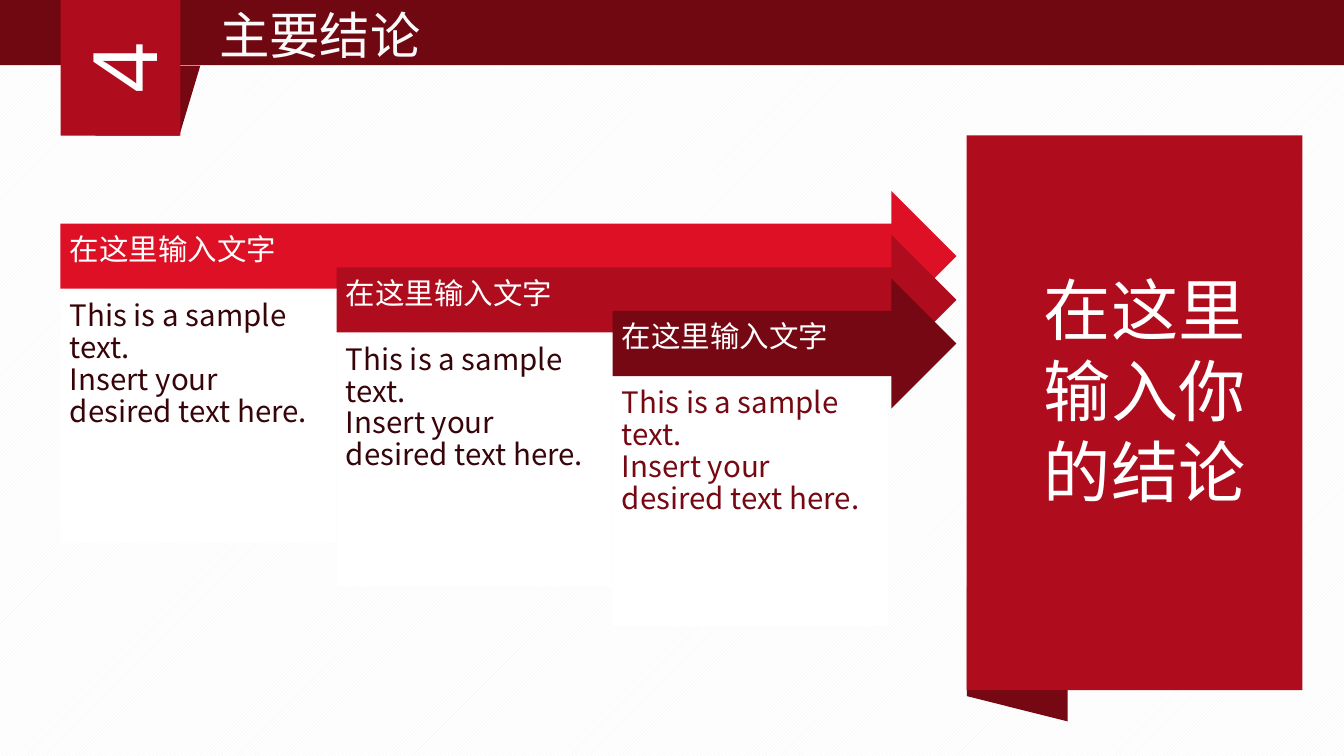
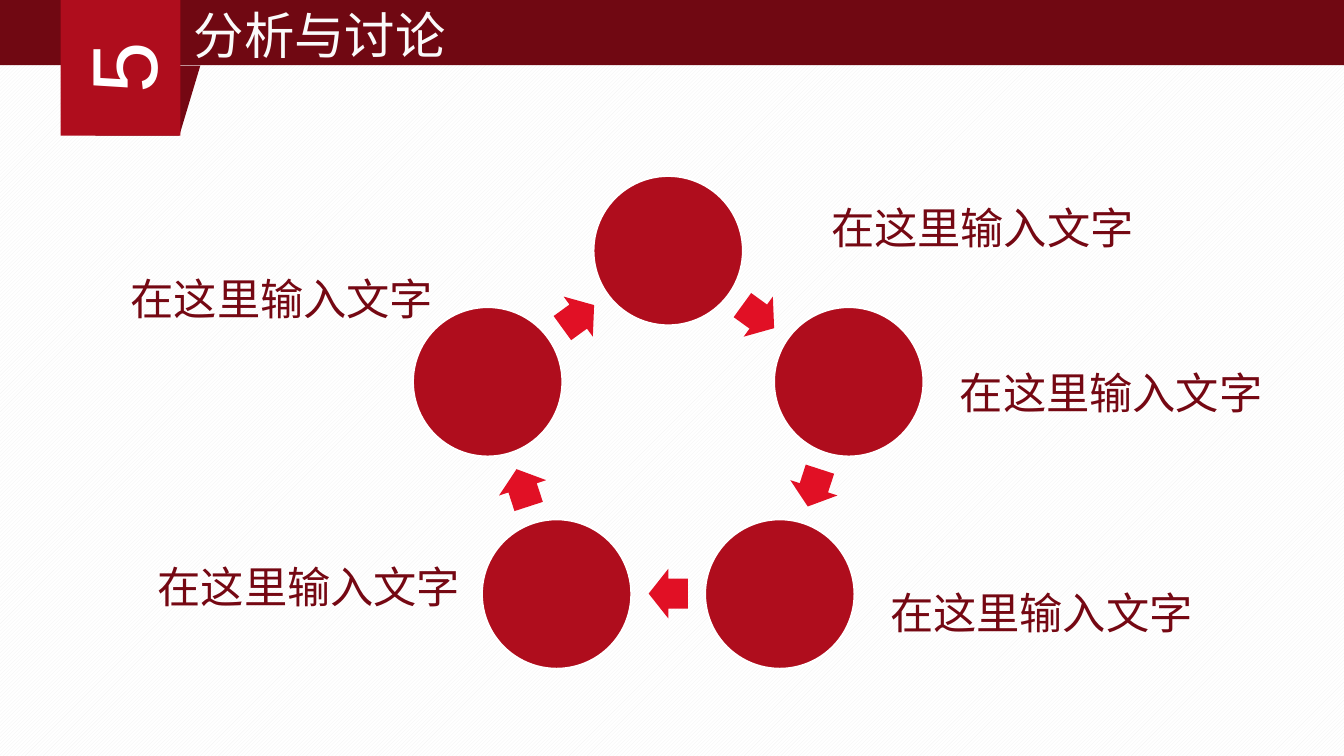
"""Build two red slides: overlapping conclusion arrows and a discussion cycle."""
import math

from pptx import Presentation
from pptx import util as u
from pptx.dml.color import RGBColor
from pptx.enum import dml, shapes, text

WHITE, OFF_WHITE, HATCH = "FFFFFF", "FAFAFA", "F2F2F2"
RED, BRIGHT, ARROW_RED = "AF0D1D", "DE1025", "E11025"
DARK, BAND, INK = "750813", "700812", "370409"
HEAD_FONT, BODY_FONT = "Arial", "Noto Sans CJK SC"
PROMPT = "在这里输入文字"
SAMPLE = "This is a sample text.\vInsert your desired text here."
G = shapes.MSO_SHAPE


def rgb(value):
    return RGBColor.from_string(value)


def write(tf, content, size, color, font=HEAD_FONT, align=text.PP_ALIGN.LEFT,
          anchor=text.MSO_ANCHOR.TOP, insets=(7.2, 3.6, 7.2, 3.6),
          spacing=None, grow=False):
    tf.word_wrap = True
    tf.auto_size = (text.MSO_AUTO_SIZE.SHAPE_TO_FIT_TEXT if grow
                    else text.MSO_AUTO_SIZE.NONE)
    tf.vertical_anchor = anchor
    tf.margin_left, tf.margin_top, tf.margin_right, tf.margin_bottom = map(u.Pt, insets)
    p = tf.paragraphs[0]
    p.text = content
    p.alignment = align
    p.line_spacing = spacing
    for r in p.runs:
        r.font.size = u.Pt(size)
        r.font.name = font
        r.font.color.rgb = rgb(color)


class Deck:
    def __init__(self):
        self.prs = Presentation()
        self.prs.slide_width, self.prs.slide_height = u.Pt(720), u.Pt(405)
        self.s = None

    def slide(self, title):
        self.s = self.prs.slides.add_slide(self.prs.slide_layouts[5])
        fill = self.s.background.fill
        fill.patterned()
        fill.pattern = dml.MSO_PATTERN.LIGHT_UPWARD_DIAGONAL
        fill.fore_color.rgb, fill.back_color.rgb = rgb(HATCH), rgb(WHITE)
        band = self.shape(G.RECTANGLE, 0, -0.5, 720, 35.5, BAND)
        sp = self.s.shapes.title
        sp.element.addprevious(band.element)
        sp.left, sp.top, sp.width, sp.height = map(u.Pt, (79.2, -1.5, 184.3, 40.3))
        write(sp.text_frame, title, 27, OFF_WHITE,
              align=text.PP_ALIGN.CENTER, grow=True)

    def shape(self, kind, x, y, w, h, fill, line=None, rotation=0, adjust=()):
        sp = self.s.shapes.add_shape(kind, *map(u.Pt, (x, y, w, h)))
        sp.shadow.inherit = False
        sp.rotation = rotation
        for i, value in enumerate(adjust):
            sp.adjustments[i] = value
        sp.fill.solid()
        sp.fill.fore_color.rgb = rgb(fill)
        if line:
            sp.line.color.rgb = rgb(line)
            sp.line.width = u.Pt(1)
        else:
            sp.line.fill.background()
        return sp

    def text(self, x, y, w, h, content, size, color, **fmt):
        sp = self.s.shapes.add_textbox(*map(u.Pt, (x, y, w, h)))
        write(sp.text_frame, content, size, color, **fmt)

    def number(self, digit):
        self.shape(G.FLOWCHART_DATA, 51.1, 35.2, 56.2, 37.4, DARK, rotation=180)
        sp = self.shape(G.RECTANGLE, 28.2, 4.2, 72.7, 64.1, RED, rotation=270)
        write(sp.text_frame, digit, 49.5, WHITE, align=text.PP_ALIGN.CENTER,
              anchor=text.MSO_ANCHOR.MIDDLE)


def conclusions(deck):
    deck.slide("主要结论")
    deck.shape(G.PARALLELOGRAM, 509, 323.5, 72, 54, DARK, rotation=90, adjust=[0.25])
    tip = 512.4
    fmt = dict(font=BODY_FONT, spacing=0.9)
    steps = [(BRIGHT, INK, 134.6), (RED, INK, 134.6), (DARK, DARK, 132.5)]
    for i, (fill, ink, height) in enumerate(steps):
        x, y = 32.4 + 147.9 * i, 102.4 + 23.4 * i
        deck.shape(G.RIGHT_ARROW, x, y, tip - x, 69.8, fill)
        deck.text(x, y + 17.5, tip - x - 17.4, 35, PROMPT, 15.8, WHITE,
                  anchor=text.MSO_ANCHOR.MIDDLE, insets=(5, 5, 15, 11), **fmt)
        deck.shape(G.RECTANGLE, x, y + 54, 147.6, height, WHITE)
        deck.text(x, y + 54, 147.6, height, SAMPLE, 15.8, ink, insets=(5,) * 4, **fmt)
    deck.shape(G.RECTANGLE, 517.8, 72.5, 180, 297.2, RED)
    deck.text(552.2, 140.4, 153.4, 181.4, "在这里输入你的结论", 36, WHITE, grow=True)
    deck.number("4")


def discussion(deck):
    deck.slide("分析与讨论")
    cx, cy, count, size = 358, 236, 5, 80
    arrow_w, arrow_h = 21, 26.6

    def corner(radius, degrees, w, h):
        a = math.radians(degrees)
        return (round(cx + radius * math.sin(a) - w / 2, 2),
                round(cy - radius * math.cos(a) - h / 2, 2))

    for i in range(count):
        angle = 360 / count * i
        deck.shape(G.OVAL, *corner(101.7, angle, size, size), size, size, RED, line=WHITE)
        angle += 180 / count
        deck.shape(G.RIGHT_ARROW, *corner(82, angle, arrow_w, arrow_h), arrow_w, arrow_h,
                   ARROW_RED, rotation=angle, adjust=[0.6, 0.5])
    for x, y in [(440, 95), (509, 183.6), (471.6, 301), (79.2, 287.3), (64.8, 133.2)]:
        deck.text(x, y, 172.6, 56.9, PROMPT, 23.2, DARK, align=text.PP_ALIGN.CENTER,
                  anchor=text.MSO_ANCHOR.MIDDLE, insets=(2,) * 4, spacing=0.9)
    deck.number("5")


def main():
    deck = Deck()
    conclusions(deck)
    discussion(deck)
    deck.prs.save("out.pptx")


if __name__ == "__main__":
    main()
